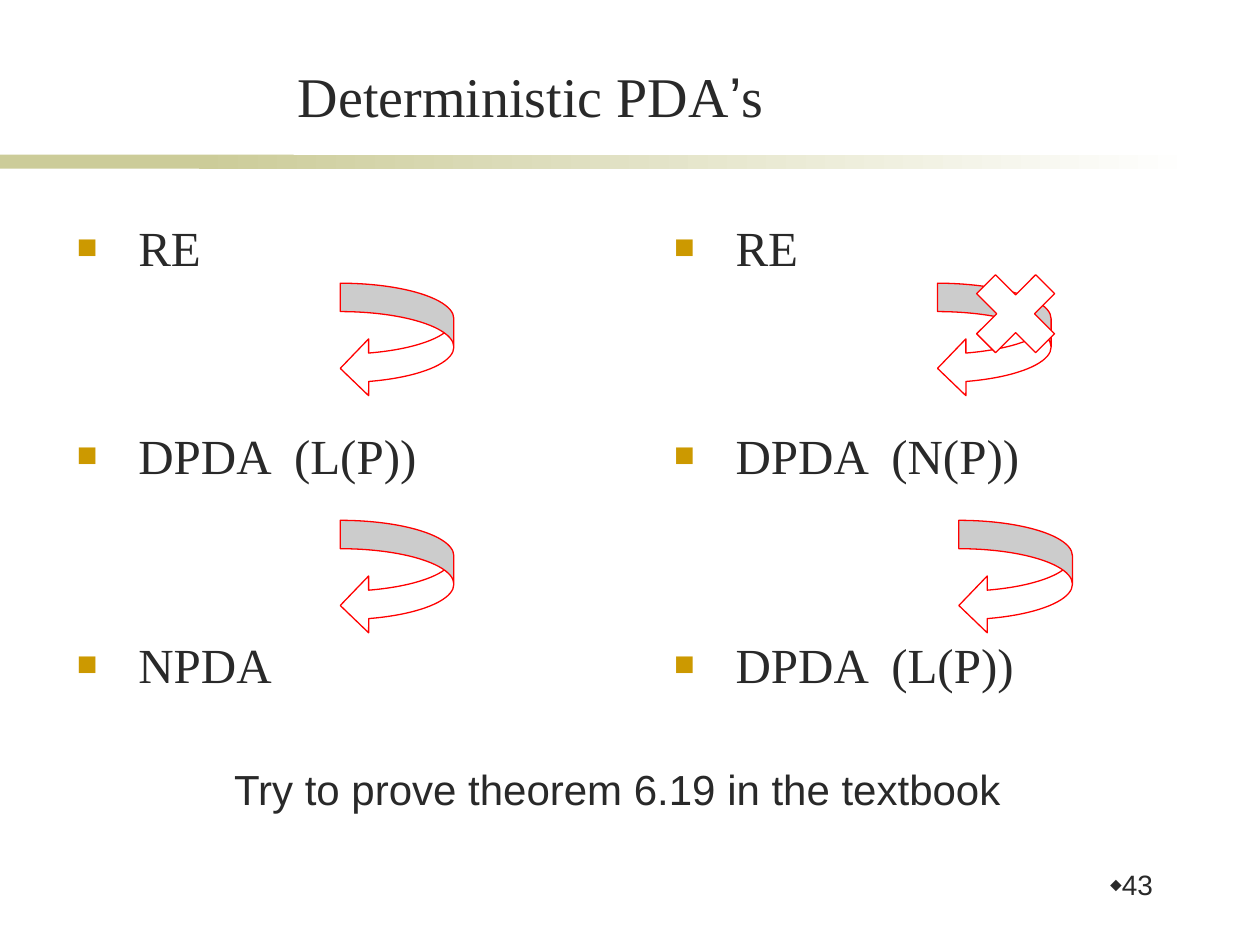
from lxml.etree import SubElement
from pptx import Presentation
from pptx.dml.color import RGBColor
from pptx.enum.shapes import MSO_SHAPE as Preset
from pptx.enum.text import MSO_ANCHOR as Anchor, PP_ALIGN as Align
from pptx.oxml.ns import qn
from pptx.util import Cm, Pt

INK, OLIVE, GOLD, RED, WHITE = "292929", "CCCC99", "CC9900", "FF0000", "FFFFFF"
SERIF, SANS = "Times New Roman", "Arial"
ARROW_SIZE = 2.29


def colour(value):
    return RGBColor.from_string(value)


def add_text(slide, box, lines, font, size, align=Align.LEFT, anchor=Anchor.TOP):
    frame = slide.shapes.add_textbox(*map(Cm, box)).text_frame
    frame.word_wrap = True
    frame.vertical_anchor = anchor
    frame.text = "\n".join(lines)
    for paragraph in frame.paragraphs:
        paragraph.alignment = align
        for run in paragraph.runs:
            format_run(run, font, size)
    return frame


def format_run(run, font, size):
    run.font.name = font
    run.font.size = Pt(size)
    run.font.color.rgb = colour(INK)


def add_bullet(paragraph, symbol, value, percent, hanging=0, tab=None):
    """Give a paragraph a bullet; hanging indent and tab stop are in cm."""
    properties = paragraph._p.get_or_add_pPr()
    properties.set("marL", str(Cm(hanging)))
    properties.set("indent", str(-Cm(hanging)))
    bullet_colour = SubElement(properties, qn("a:buClr"))
    SubElement(bullet_colour, qn("a:srgbClr"), val=value)
    SubElement(properties, qn("a:buSzPct"), val=str(percent * 1000))
    SubElement(properties, qn("a:buFont"), typeface=SANS)
    SubElement(properties, qn("a:buChar"), char=symbol)
    if tab:
        tabs = SubElement(properties, qn("a:tabLst"))
        SubElement(tabs, qn("a:tab"), pos=str(Cm(tab)), algn="l")


def add_symbol(slide, preset, left, top):
    shape = slide.shapes.add_shape(preset, *map(Cm, (left, top, ARROW_SIZE, ARROW_SIZE)))
    shape.shadow.inherit = False
    shape.fill.solid()
    shape.fill.fore_color.rgb = colour(WHITE)
    shape.line.color.rgb = colour(RED)
    shape.line.width = Pt(0.75)


def add_rule(slide, left, top, width, height):
    """Draw the title rule: a solid start that fades out to the right."""
    solid_width, fade_left, fade_width = 5.92, 4.01, 20.12
    solid, fade = (
        slide.shapes.add_shape(Preset.RECTANGLE, Cm(x), Cm(top), Cm(part), Cm(height))
        for x, part in ((left, solid_width), (left + fade_left, min(fade_width, width)))
    )
    for bar in (solid, fade):
        bar.shadow.inherit = False
        bar.line.fill.background()
    solid.fill.solid()
    solid.fill.fore_color.rgb = colour(OLIVE)
    fade.fill.gradient()
    fade.fill.gradient_angle = 0
    for stop, value in zip(fade.fill.gradient_stops, (OLIVE, WHITE)):
        stop.color.rgb = colour(value)


def add_title(slide, box):
    frame = add_text(slide, box, ["Deterministic PDA"], SERIF, 32, Align.CENTER, Anchor.BOTTOM)
    for text, font in (("’", SANS), ("s", SERIF)):
        run = frame.paragraphs[0].add_run()
        run.text = text
        format_run(run, font, 32)


def add_chain(slide, box, classes, arrow_offsets):
    """List language classes, with an arrow in each gap between them."""
    left, top = box[:2]
    frame = add_text(slide, box, classes, SERIF, 28)
    frame.margin_top = Cm(0.27)
    for index, paragraph in enumerate(frame.paragraphs):
        add_bullet(paragraph, "■", GOLD, 70, hanging=1.24, tab=4.38)
        paragraph.space_before = Pt(85.5 if index else 0)
    for index, offset in enumerate(arrow_offsets):
        add_symbol(slide, Preset.CURVED_LEFT_ARROW, left + offset, top + 1.6 + index * 4.78)


def add_page_number(slide, box):
    frame = add_text(slide, box, ["43"], SANS, 16, Align.RIGHT)
    paragraph = frame.paragraphs[0]
    add_bullet(paragraph, "⬥", INK, 60)
    paragraph.line_spacing = 0.9


def main():
    presentation = Presentation()
    presentation.slide_width, presentation.slide_height = Cm(25.4), Cm(19.05)
    slide = presentation.slides.add_slide(presentation.slide_layouts[6])

    add_rule(slide, 0, 3.12, 25.4, 0.28)
    add_title(slide, (2.9, 1.12, 15.6, 1.6))
    add_chain(slide, (1.3, 4.11, 10.16, 12.19), ["RE", "DPDA\t(L(P))", "NPDA"], (5.56, 5.56))
    add_chain(slide, (13.34, 4.11, 10.16, 12.19),
              ["RE", "DPDA\t(N(P))", "DPDA\t(L(P))"], (5.56, 5.99))
    add_symbol(slide, Preset.MATH_MULTIPLY, 19.33, 5.18)
    add_text(slide, (4.47, 15.27, 16.43, 1.27),
             ["Try to prove theorem 6.19 in the textbook"], SANS, 24)
    add_page_number(slide, (20.9, 17.45, 2.59, 1.27))
    presentation.save("out.pptx")


if __name__ == "__main__":
    main()
